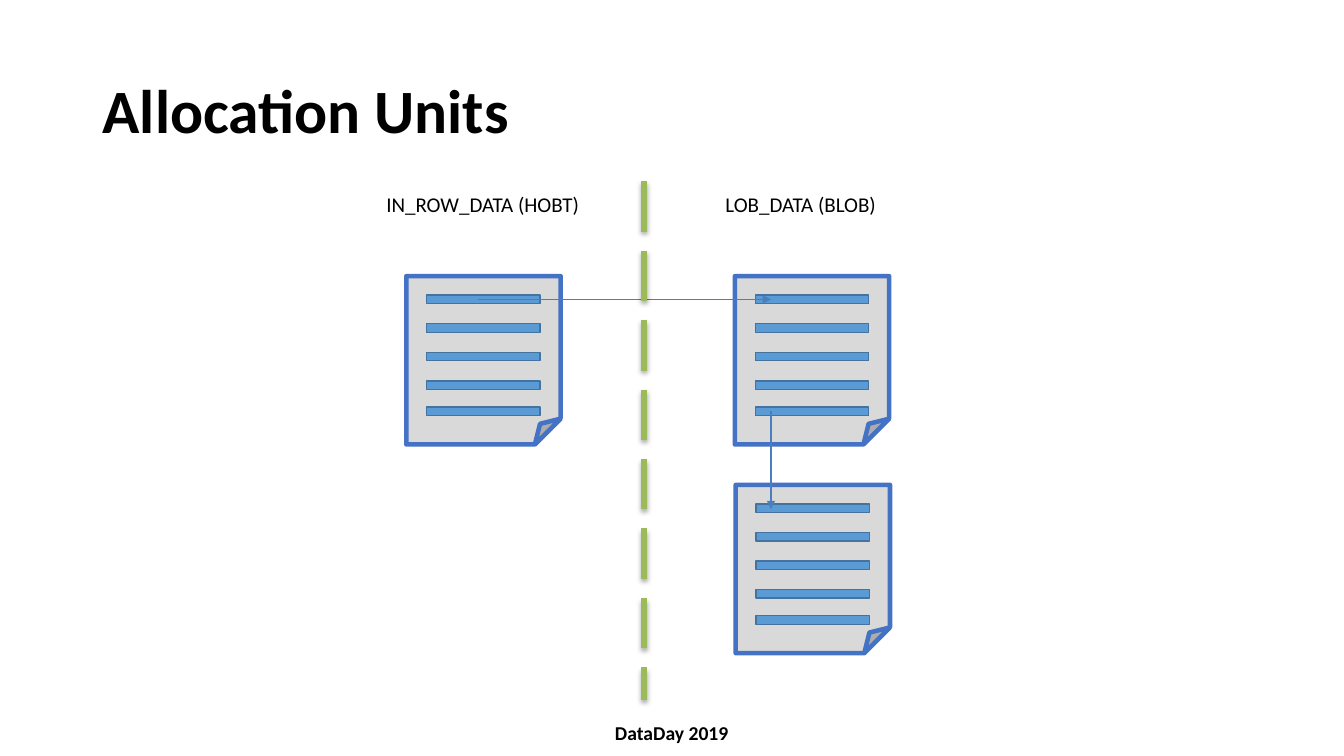
import lxml.etree
import pptx
import pptx.dml.color
import pptx.enum.dml
import pptx.enum.shapes
import pptx.enum.text
import pptx.oxml.ns
import pptx.util

Cm = pptx.util.Cm
Pt = pptx.util.Pt
SHAPE = pptx.enum.shapes.MSO_SHAPE
ALIGN = pptx.enum.text.PP_ALIGN
ANCHOR = pptx.enum.text.MSO_ANCHOR

COLOURS = {
    "text": "000000",
    "paper": "D9D9D9",
    "paper_edge": "4472C4",
    "row": "5B9BD5",
    "row_edge": "43739E",
    "arrow": "4B7EBC",
    "divider": "9BBB59",
}
PAGE_SIZE = (3.89, 4.24)
ROW_OFFSETS = (0.13, 0.85, 1.57, 2.29, 2.95)
ROW_HEIGHT = 0.91


def colour(name):
    return pptx.dml.color.RGBColor.from_string(COLOURS[name])


def add_text(slide, box, text, size, bold=False, align=ALIGN.CENTER,
             anchor=ANCHOR.MIDDLE, spacing=1.0):
    frame = slide.shapes.add_textbox(*map(Cm, box)).text_frame
    frame.word_wrap = True
    frame.vertical_anchor = anchor
    paragraph = frame.paragraphs[0]
    paragraph.alignment = align
    paragraph.line_spacing = spacing
    run = paragraph.add_run()
    run.text = text
    run.font.color.rgb = colour("text")
    formats = {"name": "Calibri", "size": Pt(size), "bold": bold}
    for name, value in formats.items():
        setattr(run.font, name, value)


def add_filled_shape(shapes, kind, box, fill, edge, edge_width):
    shape = shapes.add_shape(kind, *map(Cm, box))
    shape.shadow.inherit = False
    shape.fill.solid()
    shape.fill.fore_color.rgb = colour(fill)
    shape.line.color.rgb = colour(edge)
    shape.line.width = Pt(edge_width)


def add_data_page(slide, left, top):
    """A folded sheet with its rows, as one group."""
    shapes = slide.shapes.add_group_shape().shapes
    width, height = PAGE_SIZE
    add_filled_shape(shapes, SHAPE.FOLDED_CORNER, (left, top, width, height),
                     "paper", "paper_edge", 3.25)
    for offset in ROW_OFFSETS:
        add_filled_shape(shapes, SHAPE.MATH_MINUS,
                         (left, top + offset, width, ROW_HEIGHT),
                         "row", "row_edge", 1)


def add_line(slide, ends, line_colour, width):
    """A straight line; returns it with its empty effect list."""
    connector = slide.shapes.add_connector(
        pptx.enum.shapes.MSO_CONNECTOR.STRAIGHT, *map(Cm, ends))
    connector.line.color.rgb = colour(line_colour)
    connector.line.width = Pt(width)
    effects = lxml.etree.SubElement(connector._element.spPr,
                                    pptx.oxml.ns.qn("a:effectLst"))
    return connector, effects


def add_arrow(slide, ends):
    connector, _ = add_line(slide, ends, "arrow", 0.75)
    outline = connector.line._get_or_add_ln()
    lxml.etree.SubElement(outline, pptx.oxml.ns.qn("a:tailEnd"), type="triangle")


def add_divider(slide, ends):
    connector, effects = add_line(slide, ends, "divider", 4.5)
    connector.line.dash_style = pptx.enum.dml.MSO_LINE.LONG_DASH
    shadow = lxml.etree.SubElement(
        effects, pptx.oxml.ns.qn("a:outerShdw"), blurRad=str(Pt(3.1)),
        dist=str(Pt(1.8)), dir="5400000", rotWithShape="0")
    shade = lxml.etree.SubElement(shadow, pptx.oxml.ns.qn("a:srgbClr"),
                                  val=COLOURS["text"])
    lxml.etree.SubElement(shade, pptx.oxml.ns.qn("a:alpha"), val="35000")


def add_diagram(slide, left, top):
    """Both allocation units, with the first page at the given corner."""
    lob_left = left + 8.28
    second_top = top + 5.26
    link_x = lob_left + 0.91
    first_row, last_row = (top + offset + ROW_HEIGHT / 2
                           for offset in (ROW_OFFSETS[0], ROW_OFFSETS[-1]))

    # Pages of the two units
    add_data_page(slide, left, top)
    add_data_page(slide, lob_left, top)

    # Link between the units and the divider
    add_arrow(slide, (left + 1.8, first_row, link_x, first_row))
    add_divider(slide, (left + 5.99, top - 2.39, left + 5.99, top + 10.67))

    # Unit names
    for label, label_left, width in (
            ("IN_ROW_DATA (HOBT)", left - 1.25, 6.35),
            ("LOB_DATA (BLOB)", lob_left - 1.78, 6.88)):
        add_text(slide, (label_left, top - 2.26, width, 0.89), label, 15,
                 anchor=ANCHOR.TOP)

    # Continuation page
    add_data_page(slide, lob_left + 0.02, second_top)
    add_arrow(slide, (link_x, last_row, link_x, second_top + 0.61))


def main():
    presentation = pptx.Presentation()
    presentation.slide_width = Cm(33.87)
    presentation.slide_height = Cm(19.05)
    slide = presentation.slides.add_slide(presentation.slide_layouts[6])

    # Footer and title
    add_text(slide, (9.45, 17.93, 14.96, 1.07), "DataDay 2019", 14, bold=True)
    add_text(slide, (2.34, 1.02, 29.21, 3.68), "Allocation Units", 44,
             bold=True, align=ALIGN.LEFT, spacing=0.9)

    add_diagram(slide, 10.24, 6.96)
    presentation.save("out.pptx")


if __name__ == "__main__":
    main()
